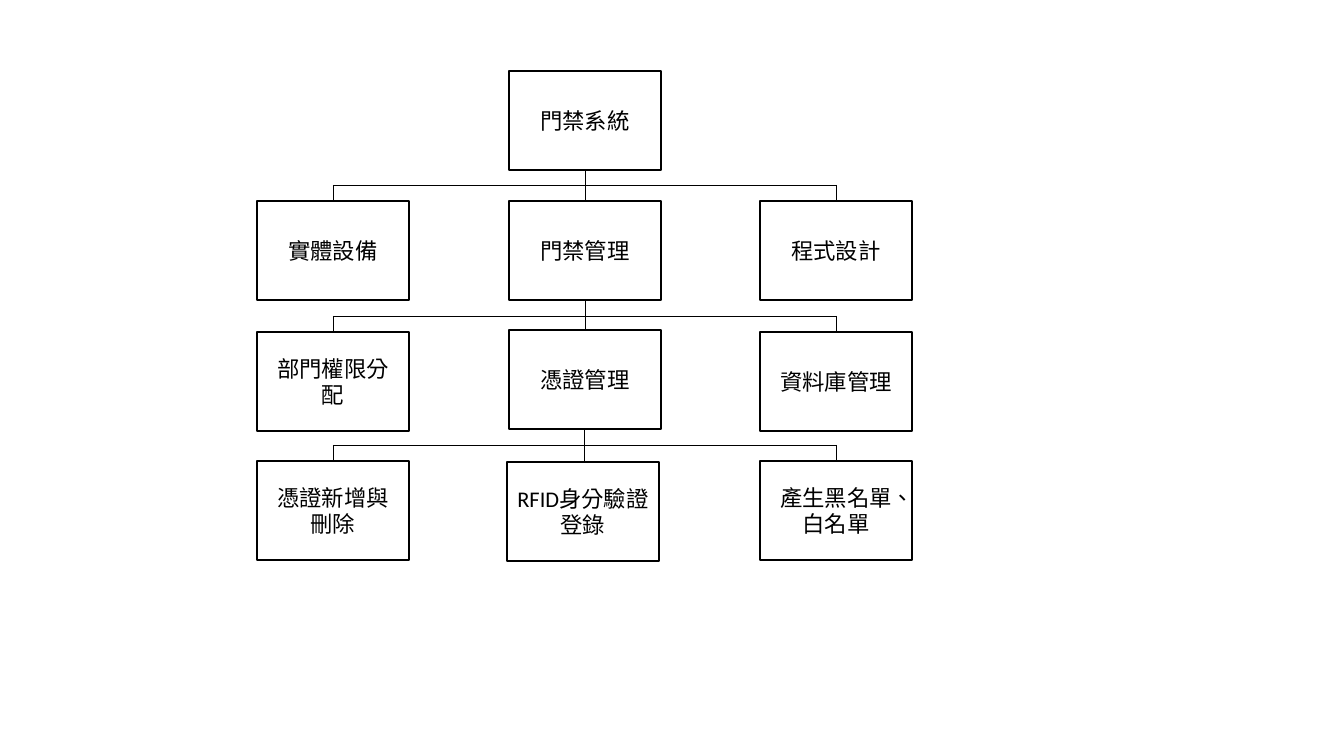
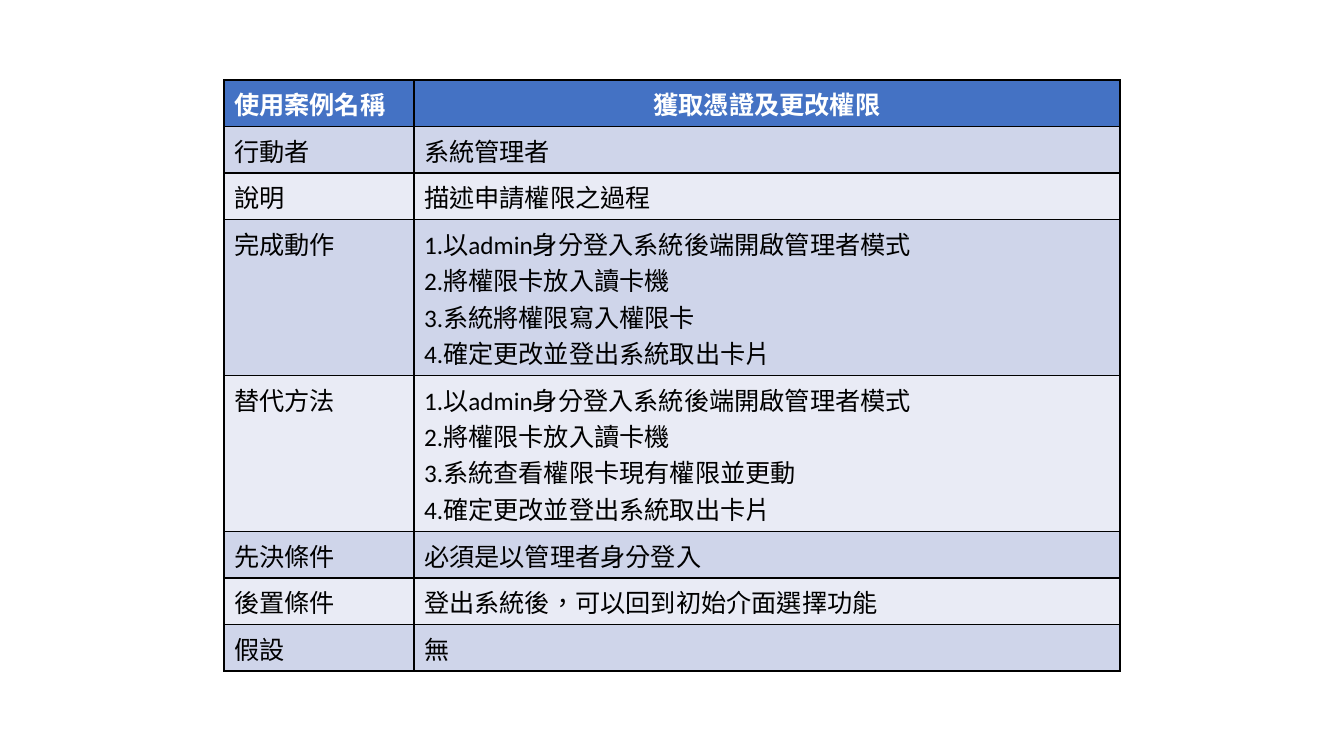
from pptx import Presentation
from pptx.util import Pt
from pptx.dml.color import RGBColor as RGB
from pptx.enum.shapes import MSO_SHAPE as SHAPE, MSO_CONNECTOR as CONN
from pptx.enum.text import PP_ALIGN as AL, MSO_ANCHOR as ANC
from pptx.oxml import parse_xml
from pptx.oxml.ns import nsdecls
from lxml.etree import SubElement
from pptx.oxml.ns import qn

PX = 914400 / 100.8
FONT = "Calibri"
COL = {"ink": "000000", "paper": "FFFFFF", "head": "4472C4",
       "odd": "CFD5EA", "even": "E9EBF5"}


def px(*vals):
    return [round(v * PX) for v in vals]


def style(par, size, color, bold=False):
    for run in par.runs:
        run.font.size = Pt(size)
        run.font.bold = bold
        run.font.color.rgb = RGB.from_string(COL[color])
        run.font.name = FONT
        props = run._r.get_or_add_rPr()
        props.set("lang", "zh-TW")
        SubElement(props, qn("a:ea")).set("typeface", FONT)


prs = Presentation()
prs.slide_width, prs.slide_height = px(1344, 756)
blank = prs.slide_layouts[6]

# Slide 1: tree of the access system
tree = prs.slides.add_slide(blank)
BOX_W, BOX_H = 152, 99
LEFT, MID, RIGHT = 257, 509, 760
half = BOX_W // 2
ends = LEFT + half, RIGHT + half

# Links: trunk x, trunk top, trunk foot, bar y, foot of the side drops
links = [(585, 170, 201, 185, 201),
         (585, 299, 330, 316, 332),
         (584, 430, 461, 445, 461)]
for trunk, top, foot, bar, drop in links:
    lines = [(trunk, top, trunk, foot), (ends[0], bar, ends[1], bar)]
    lines += [(x, bar, x, drop) for x in ends]
    for pts in lines:
        link = tree.shapes.add_connector(CONN.STRAIGHT, *px(*pts))
        link.line.color.rgb = RGB.from_string(COL["ink"])
        link.line.width = Pt(0.5)
        SubElement(link._element.spPr, qn("a:effectLst"))

# Boxes, level by level
boxes = [(MID, 71, "門禁系統"),
         (LEFT, 201, "實體設備"), (MID, 201, "門禁管理"),
         (RIGHT, 201, "程式設計"),
         (LEFT, 332, "部門權限分配"), (MID, 330, "憑證管理"),
         (RIGHT, 332, "資料庫管理"),
         (LEFT, 461, "憑證新增與刪除"), (507, 462, "RFID身分驗證登錄"),
         (RIGHT, 461, "產生黑名單、白名單")]
for x, y, label in boxes:
    box = tree.shapes.add_shape(SHAPE.RECTANGLE, *px(x, y, BOX_W, BOX_H))
    box.shadow.inherit = False
    box.fill.solid()
    box.fill.fore_color.rgb = RGB.from_string(COL["paper"])
    box.line.color.rgb = RGB.from_string(COL["ink"])
    box.line.width = Pt(1)
    frame = box.text_frame
    frame.word_wrap = True
    frame.vertical_anchor = ANC.MIDDLE
    frame.text = label
    frame.paragraphs[0].alignment = AL.CENTER
    style(frame.paragraphs[0], 16, "ink")

# Slide 2: use case table
case = prs.slides.add_slide(blank)
LOGIN = "1.以admin身分登入系統後端開啟管理者模式\n2.將權限卡放入讀卡機\n"
LOGOUT = "\n4.確定更改並登出系統取出卡片"
rows = [("使用案例名稱", "獲取憑證及更改權限"),
        ("行動者", "系統管理者"),
        ("說明", "描述申請權限之過程"),
        ("完成動作", LOGIN + "3.系統將權限寫入權限卡" + LOGOUT),
        ("替代方法", LOGIN + "3.系統查看權限卡現有權限並更動" + LOGOUT),
        ("先決條件", "必須是以管理者身分登入"),
        ("後置條件", "登出系統後，可以回到初始介面選擇功能"),
        ("假設", "無")]
grid = case.shapes.add_table(len(rows), 2, *px(224, 80, 896, 590)).table
for col, width in zip(grid.columns, px(190, 706)):
    col.width = width

for r, texts in enumerate(rows):
    grid.rows[r].height = px(156 if "\n" in texts[1] else 46)[0]
    fill = "head" if r == 0 else "odd" if r % 2 else "even"
    for c, text in enumerate(texts):
        cell = grid.cell(r, c)
        cell.text = text
        props = cell._tc.get_or_add_tcPr()
        for side in "LRTB":
            props.append(parse_xml(
                f'<a:ln{side} {nsdecls("a")} w="12700"><a:solidFill>'
                f'<a:srgbClr val="{COL["ink"]}"/></a:solidFill></a:ln{side}>'))
        cell.fill.solid()
        cell.fill.fore_color.rgb = RGB.from_string(COL[fill])
        for par in cell.text_frame.paragraphs:
            par.line_spacing = Pt(26)
            par.alignment = AL.CENTER if r == 0 and c else AL.LEFT
            style(par, 18, "ink" if r else "paper", r == 0)

prs.save("out.pptx")
